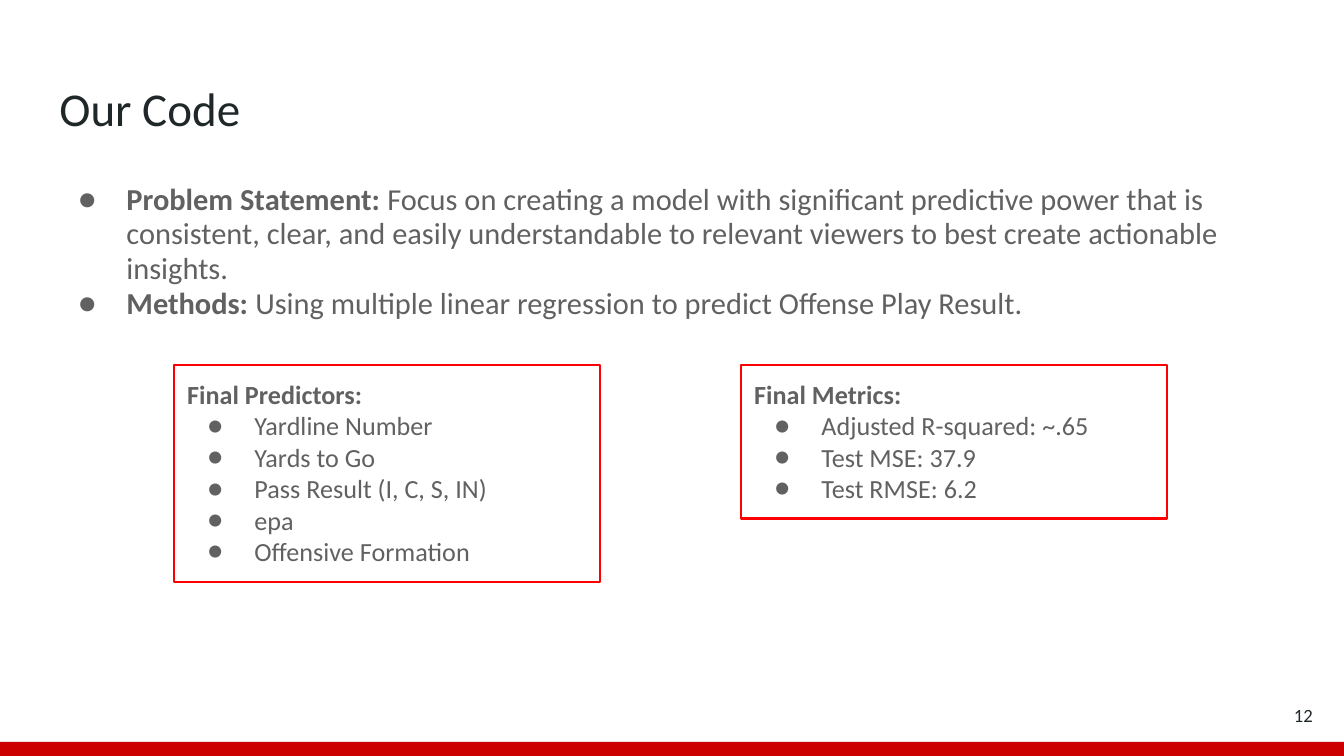
import pptx
import pptx.util
from lxml import etree
from pptx.dml.color import RGBColor
from pptx.enum.shapes import MSO_SHAPE
from pptx.enum.text import MSO_ANCHOR, MSO_AUTO_SIZE, PP_ALIGN
from pptx.oxml.ns import qn

PX = 914400 / 134.4
WIDTH, HEIGHT = 1344, 756
FONT = "Calibri"
COLORS = {"band": "CC0000", "frame": "FF0000", "title": "202729",
          "body": "616161", "background": "FFFFFF"}

TITLE = "Our Code"
PAGE_NUMBER = "12"
SUMMARY = [
    ("Problem Statement:", " Focus on creating a model with significant predictive power "
     "that is consistent, clear, and easily understandable to relevant viewers to best "
     "create actionable insights."),
    ("Methods:", " Using multiple linear regression to predict Offense Play Result."),
]
# Heading, bullet items, left and height of each framed list
CARDS = [
    ("Final Predictors:",
     ["Yardline Number", "Yards to Go", "Pass Result (I, C, S, IN)", "epa",
      "Offensive Formation"], 174, 217),
    ("Final Metrics:",
     ["Adjusted R-squared: ~.65", "Test MSE: 37.9", "Test RMSE: 6.2"], 741, 154),
]
CARD_TOP, CARD_WIDTH = 365, 426


def px(length):
    return pptx.util.Emu(round(length * PX))


def color(name):
    return RGBColor.from_string(COLORS[name])


def prepare(shape, anchor=MSO_ANCHOR.TOP):
    """Set wrapping, anchor and equal insets; return the text frame."""
    frame = shape.text_frame
    frame.word_wrap = True
    frame.auto_size = MSO_AUTO_SIZE.NONE
    frame.vertical_anchor = anchor
    inset = pptx.util.Inches(0.1)
    frame.margin_left = frame.margin_right = inset
    frame.margin_top = frame.margin_bottom = inset
    return frame


def add_paragraph(frame, runs, size, ink="body", align=PP_ALIGN.LEFT):
    """Fill the first empty paragraph, or a new one, with (text, bold) runs."""
    para = frame.paragraphs[0]
    if para.runs:
        para = frame.add_paragraph()
    para.alignment = align
    para.space_before = para.space_after = pptx.util.Pt(0)
    for text, bold in runs:
        span = para.add_run()
        span.text = text
        span.font.name = FONT
        span.font.size = pptx.util.Pt(size)
        span.font.bold = bold
        span.font.color.rgb = color(ink)
    return para


def add_bullet(para, hanging):
    properties = para._p.get_or_add_pPr()
    properties.set("marL", str(pptx.util.Inches(0.5)))
    properties.set("indent", str(-pptx.util.Inches(hanging)))
    bullet_color = etree.SubElement(properties, qn("a:buClr"))
    etree.SubElement(bullet_color, qn("a:srgbClr"), val=COLORS["body"])
    etree.SubElement(properties, qn("a:buFont"), typeface=FONT)
    etree.SubElement(properties, qn("a:buChar"), char="●")


def add_rectangle(page, left, top, width, height):
    box = page.shapes.add_shape(MSO_SHAPE.RECTANGLE, px(left), px(top), px(width), px(height))
    box.shadow.inherit = False
    return box


def add_card(page, heading, items, left, height):
    box = add_rectangle(page, left, CARD_TOP, CARD_WIDTH, height)
    box.fill.background()
    box.line.color.rgb = color("frame")
    box.line.width = pptx.util.Pt(1.5)
    frame = prepare(box)
    add_paragraph(frame, [(heading, True)], 14)
    for item in items:
        add_bullet(add_paragraph(frame, [(item, False)], 14), 0.35)


def main():
    deck = pptx.Presentation()
    deck.slide_width, deck.slide_height = px(WIDTH), px(HEIGHT)
    page = deck.slides.add_slide(deck.slide_layouts[5])
    page.background.fill.solid()
    page.background.fill.fore_color.rgb = color("background")

    band = add_rectangle(page, 0, 742, WIDTH, HEIGHT - 742)
    band.fill.solid()
    band.fill.fore_color.rgb = color("band")
    band.line.fill.background()

    title = page.shapes.title
    title.left, title.top, title.width, title.height = px(46), px(66), px(1252), px(84)
    add_paragraph(prepare(title), [(TITLE, False)], 25.2, "title")

    body = page.shapes.add_textbox(px(46), px(169), px(1252), px(187))
    frame = prepare(body)
    for label, text in SUMMARY:
        para = add_paragraph(frame, [(label, True), (text, False)], 16.3)
        para.line_spacing = 0.95
        add_bullet(para, 0.36)

    number = page.shapes.add_textbox(px(1246), px(686), px(80), px(58))
    add_paragraph(prepare(number, MSO_ANCHOR.MIDDLE), [(PAGE_NUMBER, False)], 10,
                  "title", PP_ALIGN.RIGHT)

    for card in CARDS:
        add_card(page, *card)

    deck.save("out.pptx")


if __name__ == "__main__":
    main()
